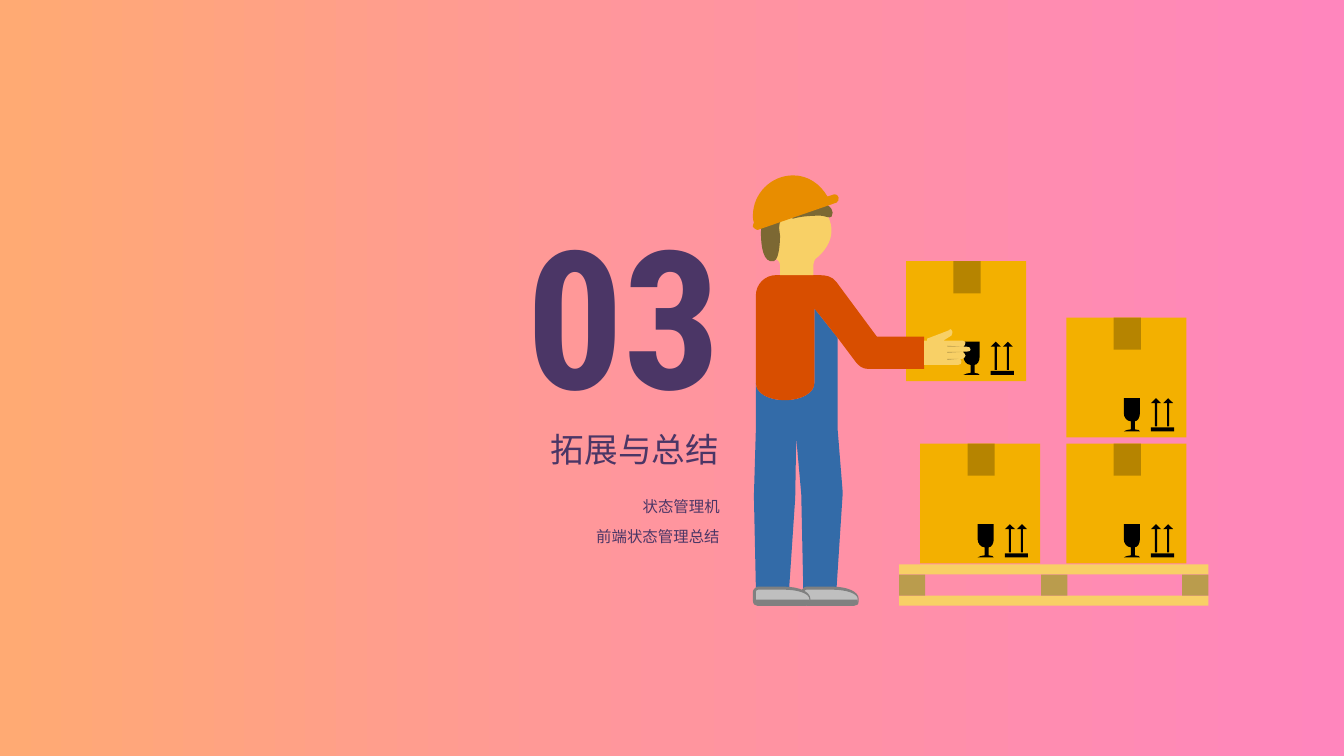
from copy import deepcopy
from dataclasses import dataclass

from pptx import Presentation
from pptx.dml.color import RGBColor
from pptx.enum.shapes import MSO_SHAPE
from pptx.enum.text import MSO_ANCHOR, PP_ALIGN
from pptx.oxml.ns import qn
from pptx.util import Cm, Pt

RECTANGLE = MSO_SHAPE.RECTANGLE
TOP, MIDDLE = MSO_ANCHOR.TOP, MSO_ANCHOR.MIDDLE
RIGHT = PP_ALIGN.RIGHT
GRID = Cm(2.54) // 100  # all drawing coordinates count in this unit


@dataclass(frozen=True)
class Theme:
    gradient: tuple = ("FFAA73", "FF959E", "FF86BD")
    text: str = "4B3666"
    carton: str = "F3B000"
    tape: str = "B68400"
    ink: str = "000000"
    skin: str = "F8D066"
    shade: str = "BA9C4D"
    trousers: str = "336BA8"
    sweater: str = "D84E00"
    shoe: str = "BFBFBF"
    sole: str = "808080"
    hair: str = "7C6833"
    cap: str = "E88D00"
    number_font: str = "Roboto Condensed"
    body_font: str = "Arial"
    number_size: int = 138
    title_size: int = 24
    body_size: int = 11


theme = Theme()
presentation = Presentation()
presentation.slide_width, presentation.slide_height = Cm(33.87), Cm(19.05)
slide = presentation.slides.add_slide(presentation.slide_layouts[6])


def add_outline(color, contours, left=0, top=0):
    """Draw closed contours; pairs are corners, sextuples are cubic curves."""
    builder = None
    for contour in contours:
        points = [(segment[i] + left, segment[i + 1] + top)
                  for segment in contour for i in range(0, len(segment), 2)]
        if builder is None:
            builder = slide.shapes.build_freeform(*points[0], scale=GRID)
        else:
            builder.move_to(*points[0])
        builder.add_line_segments(points[1:], close=True)
    shape = builder.convert_to_shape()
    # Join the three lines of each sextuple into one curve
    lines = iter(list(shape.element.iter(qn("a:lnTo"))))
    for contour in contours:
        for segment in contour[1:]:
            line = next(lines)
            if len(segment) == 6:
                line.tag = qn("a:cubicBezTo")
                for extra in (next(lines), next(lines)):
                    line.append(extra[0])
                    extra.getparent().remove(extra)
    paint(shape, color)


def paint(shape, color):
    shape.shadow.inherit = False
    shape.fill.solid()
    shape.fill.fore_color.rgb = RGBColor.from_string(color)
    shape.line.fill.background()


# Background gradient
background_fill = slide.background.fill
background_fill.gradient()
background_fill.gradient_angle = 0
stop_list = slide.element.find(".//" + qn("a:gsLst"))
stop_list.append(deepcopy(stop_list[-1]))
for index, stop in enumerate(background_fill.gradient_stops):
    stop.position = index / 2
    stop.color.rgb = RGBColor.from_string(theme.gradient[index])

# Section number, title and contents
for box, anchor, lines, size, font, bold, spacing in (
    ((282, 190, 444, 242), TOP, ["03"], theme.number_size, theme.number_font, True, 1.0),
    ((102, 412, 621, 72), MIDDLE, ["拓展与总结"], theme.title_size, theme.body_font, False, 0.9),
    ((102, 490, 622, 111), TOP, ["状态管理机", "前端状态管理总结"],
     theme.body_size, theme.body_font, False, 0.9),
):
    text_frame = slide.shapes.add_textbox(*(value * GRID for value in box)).text_frame
    text_frame.word_wrap = True
    text_frame.vertical_anchor = anchor
    text_frame.text = "\n".join(lines)
    for index, paragraph in enumerate(text_frame.paragraphs):
        paragraph.alignment = RIGHT
        paragraph.line_spacing = spacing
        paragraph.space_before = Pt(10 if index else 0)
        run_font = paragraph.runs[0].font
        run_font.name, run_font.size, run_font.bold = font, Pt(size), bold
        run_font.color.rgb = RGBColor.from_string(theme.text)

# Cartons with tape, fragile glass and upright arrows
glass = [(16, 15), (16, 0), (0, 0), (0, 15), (0, 19, 3, 23, 7, 23), (7, 31),
         (4, 31, 2, 32, 0, 33), (16, 33), (16, 32, 14, 31, 11, 31), (11, 23),
         (14, 23, 16, 19, 16, 15)]
arrow = [(4, 28), (6, 28), (6, 5), (10, 5), (5, 0), (0, 5), (4, 5)]
rectangles = []
cartons = ((913, 440), (1058, 440), (1058, 315), (899, 259))
for left, top in cartons:
    rectangles += [(left, top, 119, 119, theme.carton),
                   (left + 84, top + 109, 23, 4, theme.ink),
                   (left + 47, top, 27, 32, theme.tape)]

# Pallet
rectangles += [(892, y, 307, 10, theme.skin) for y in (560, 591)]
rectangles += [(x, 570, 26, 21, theme.shade) for x in (892, 1033, 1173)]
for left, top, width, height, color in rectangles:
    box = (value * GRID for value in (left, top, width, height))
    paint(slide.shapes.add_shape(RECTANGLE, *box), color)
for left, top in cartons:
    add_outline(theme.ink, [glass], left + 57, top + 80)
    for offset in (84, 96):
        add_outline(theme.ink, [arrow], left + offset, top + 80)

# Trousers
add_outline(theme.trousers, [[
    (831, 335), (808, 306), (808, 380), (808, 390, 795, 397, 779, 397),
    (762, 397, 750, 390, 750, 380), (750, 425), (748, 492), (750, 584),
    (750, 586, 751, 587, 754, 587), (778, 587), (780, 587, 781, 586, 783, 584),
    (789, 494), (790, 434), (795, 490), (797, 584), (797, 586, 799, 587, 802, 587),
    (826, 587), (827, 587, 830, 586, 830, 584), (836, 491),
    (836, 490, 836, 488, 836, 487), (831, 425)]])

# Sweater and hand
add_outline(theme.sweater, [[
    (870, 334), (830, 280), (826, 274, 819, 273, 813, 273), (770, 273),
    (759, 273, 750, 282, 750, 293), (750, 380), (750, 390, 762, 397, 779, 397),
    (795, 397, 808, 390, 808, 380), (808, 306), (831, 335), (849, 359),
    (852, 363, 856, 366, 861, 366), (917, 366), (917, 334)]])
add_outline(theme.skin, [[
    (959, 344), (955, 344), (956, 344, 958, 343, 958, 340), (958, 339, 956, 338, 955, 338),
    (936, 338), (944, 333), (945, 331, 945, 330, 945, 329), (944, 326, 942, 326, 941, 328),
    (920, 336), (920, 338), (917, 338), (917, 362), (951, 362),
    (953, 362, 954, 361, 954, 359), (954, 357, 953, 356, 951, 356), (955, 356),
    (956, 356, 958, 354, 958, 353), (958, 352, 956, 349, 955, 349), (959, 349),
    (962, 349, 963, 348, 963, 347), (963, 345, 962, 344, 959, 344)]])
for finger in ([(955, 344), (940, 344), (940, 343)],
               [(955, 349), (940, 350), (940, 349)],
               [(951, 356), (940, 357), (940, 356)]):
    add_outline(theme.shade, [finger])

# Shoes, the far one first
upper = [(752, 601), (750, 601, 748, 599, 748, 596), (748, 587),
         (748, 585, 750, 584, 752, 584), (778, 584), (792, 584, 803, 589, 803, 594),
         (803, 596), (803, 599, 802, 601, 799, 601)]
rim = [(799, 601), (752, 601), (750, 601, 747, 600, 747, 596), (747, 587),
       (747, 585, 750, 582, 752, 582), (778, 582), (793, 582, 804, 587, 804, 594),
       (804, 596), (804, 600, 802, 601, 799, 601)]
rim_opening = [(752, 585), (751, 585, 750, 586, 750, 587), (750, 596),
               (750, 599, 751, 600, 752, 600), (799, 600), (801, 600, 803, 599, 803, 596),
               (803, 594), (803, 589, 792, 585, 778, 585)]
sole = [(748, 595), (748, 596), (748, 599, 750, 601, 752, 601), (799, 601),
        (802, 601, 803, 599, 803, 596), (803, 595)]
for offset in (48, 0):
    add_outline(theme.shoe, [upper], offset)
    add_outline(theme.sole, [rim, rim_opening], offset)
    add_outline(theme.sole, [sole], offset)

# Head, hair and cap
add_outline(theme.skin, [[
    (770, 257), (773, 258, 774, 261, 774, 263), (774, 273), (807, 273), (807, 263),
    (807, 261, 808, 258, 809, 257), (818, 250, 825, 240, 825, 229),
    (825, 211, 809, 196, 790, 196), (771, 196, 756, 211, 756, 229),
    (756, 240, 762, 250, 770, 257)]])
add_outline(theme.hair, [[
    (792, 195), (771, 195, 755, 211, 755, 231), (755, 243, 757, 262, 768, 259),
    (774, 257, 774, 234, 774, 234), (774, 231, 773, 229, 773, 226),
    (773, 220, 776, 215, 781, 215), (783, 215, 785, 216, 787, 217),
    (793, 215, 803, 214, 814, 214), (818, 214, 823, 217, 825, 215),
    (832, 204, 807, 195, 792, 195)]])
add_outline(theme.cap, [[
    (832, 196), (831, 193, 828, 192, 827, 193), (821, 195), (814, 183, 802, 174, 787, 174),
    (765, 174, 747, 192, 747, 214), (747, 216, 747, 219, 748, 221),
    (747, 222, 747, 224, 747, 225), (748, 226, 750, 228, 751, 228), (752, 228),
    (830, 201), (832, 200, 832, 198, 832, 196)]])

presentation.save("out.pptx")
